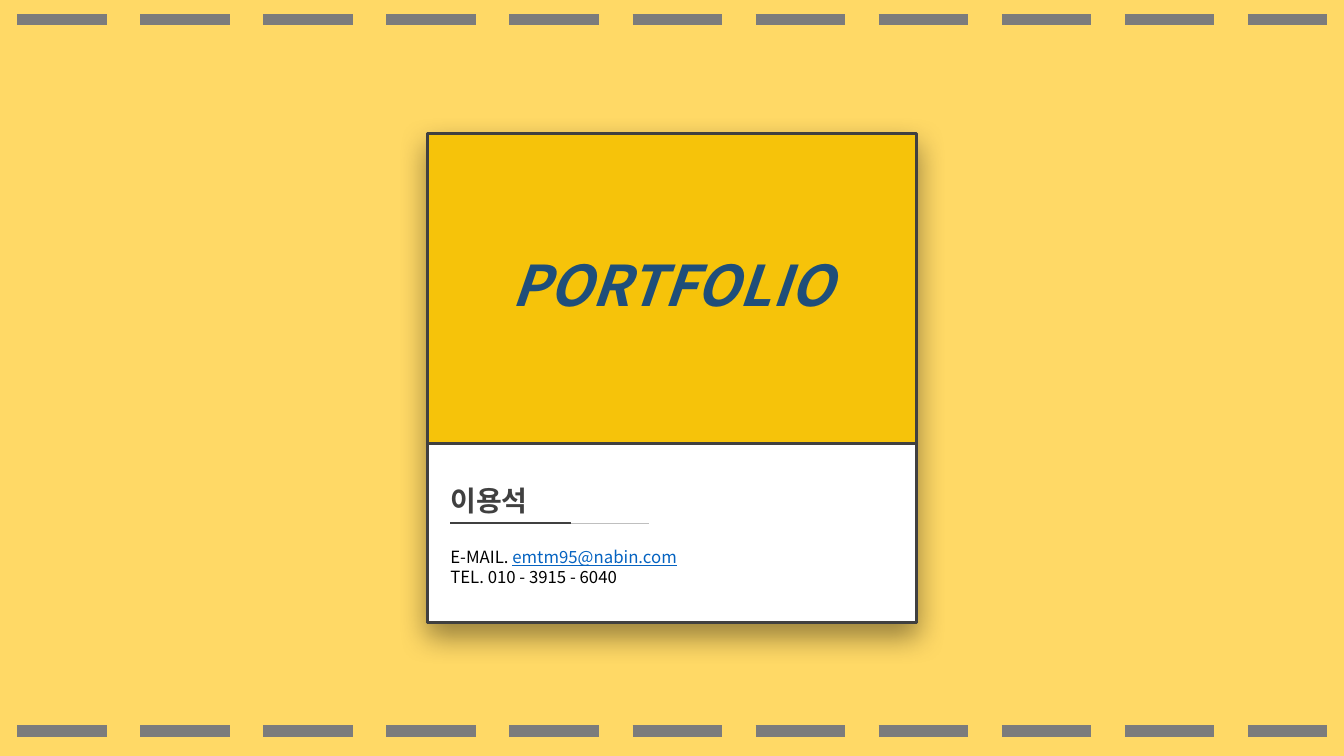
from dataclasses import dataclass

from pptx import Presentation
from pptx.dml.color import RGBColor
from pptx.enum.dml import MSO_LINE
from pptx.enum.shapes import MSO_CONNECTOR as Connector, MSO_SHAPE as Preset
from pptx.enum.text import MSO_ANCHOR as Anchor, MSO_AUTO_SIZE as AutoSize, PP_ALIGN as Align
from pptx.oxml import parse_xml
from pptx.oxml.ns import nsdecls, qn
from pptx.util import Cm, Pt


@dataclass(frozen=True)
class Theme:
    font: str = "Noto Sans CJK KR"
    backdrop: str = "FFD966"
    cover: str = "F6C30A"
    paper: str = "FFFFFF"
    dark: str = "404040"
    light: str = "BFBFBF"
    stitch: str = "7C7C7C"
    title: str = "1F4E79"
    body: str = "000000"
    email: str = "0563C1"
    title_size: int = 40
    name_size: int = 20
    body_size: int = 12


class CardSlide:
    def __init__(self, slide, theme):
        self.slide = slide
        self.theme = theme

    def panel(self, left, top, width, height, fill, border=None):
        shape = self.slide.shapes.add_shape(
            Preset.RECTANGLE, Cm(left), Cm(top), Cm(width), Cm(height))
        shape.shadow.inherit = False
        shape.fill.solid()
        shape.fill.fore_color.rgb = RGBColor.from_string(fill)
        if border:
            shape.line.color.rgb = RGBColor.from_string(border)
            shape.line.width = Pt(2)
        else:
            shape.line.fill.background()
        return shape

    def drop_shadow(self, shape):
        """Put a soft black shadow below the shape."""
        effects = shape._element.spPr.find(qn("a:effectLst"))
        effects.append(parse_xml(
            f'<a:outerShdw {nsdecls("a")} blurRad="{Pt(21)}" dist="{Pt(9)}" '
            'dir="5400000" algn="t" rotWithShape="0"><a:srgbClr val="000000">'
            '<a:alpha val="40000"/></a:srgbClr></a:outerShdw>'))

    def rule(self, start, end, y, color, width, dash=None):
        """Draw a horizontal line from start to end."""
        connector = self.slide.shapes.add_connector(
            Connector.STRAIGHT, Cm(start), Cm(y), Cm(end), Cm(y))
        connector.line.color.rgb = RGBColor.from_string(color)
        connector.line.width = Pt(width)
        if dash:
            connector.line.dash_style = dash
        connector._element.spPr.append(parse_xml(f'<a:effectLst {nsdecls("a")}/>'))

    def text_box(self, left, top, width, height, lines):
        box = self.slide.shapes.add_textbox(Cm(left), Cm(top), Cm(width), Cm(height))
        box.text_frame.word_wrap = True
        box.text_frame.auto_size = AutoSize.SHAPE_TO_FIT_TEXT
        self.set_lines(box.text_frame, lines)

    def set_lines(self, frame, lines, align=Align.LEFT):
        """Fill the frame; each line is a list of (text, size, color, format) runs."""
        for index, runs in enumerate(lines):
            paragraph = frame.add_paragraph() if index else frame.paragraphs[0]
            paragraph.alignment = align
            for text, size, color, style in runs:
                run = paragraph.add_run()
                run.text = text
                values = {"name": self.theme.font, "size": Pt(size), **style}
                for key, value in values.items():
                    setattr(run.font, key, value)
                run.font.color.rgb = RGBColor.from_string(color)
                run.font._element.find(qn("a:latin")).addnext(parse_xml(
                    f'<a:ea {nsdecls("a")} typeface="{self.theme.font}"/>'))


def main():
    slide_width, slide_height = 33.87, 19.05
    presentation = Presentation()
    presentation.slide_width = Cm(slide_width)
    presentation.slide_height = Cm(slide_height)
    theme = Theme()
    card = CardSlide(presentation.slides.add_slide(presentation.slide_layouts[6]), theme)

    card.panel(0, 0, slide_width, slide_height, theme.backdrop)

    card_side, contact_height = 12.34, 4.52
    left = (slide_width - card_side) / 2
    top = (slide_height - card_side) / 2
    cover = card.panel(left, top, card_side, card_side, theme.cover, theme.dark)
    card.drop_shadow(cover)
    cover.text_frame.margin_top = Cm(2.97)
    cover.text_frame.vertical_anchor = Anchor.TOP
    title_style = {"bold": True, "italic": True}
    card.set_lines(cover.text_frame,
                   [[("PORTFOLIO", theme.title_size, theme.title, title_style)]], Align.CENTER)
    card.panel(left, top + card_side - contact_height, card_side, contact_height,
               theme.paper, theme.dark)

    rule_left, rule_y = 11.35, 13.18
    card.rule(rule_left, 16.36, rule_y, theme.light, 0.75)
    card.rule(rule_left, 14.38, rule_y, theme.dark, 2)

    text_left = 11.1
    card.text_box(text_left, 12.07, 6.53, 1.12,
                  [[("이용석", theme.name_size, theme.dark, {"bold": True})]])
    card.text_box(text_left, 13.64, 7.24, 1.27, [
        [("E-MAIL. ", theme.body_size, theme.body, {}),
         ("emtm95@nabin.com", theme.body_size, theme.email, {"underline": True})],
        [("TEL. 010 - 3915 - 6040", theme.body_size, theme.body, {})],
    ])

    margin = 0.43
    for y in (0.5, 18.42):
        card.rule(margin, slide_width - margin, y, theme.stitch, 8, MSO_LINE.LONG_DASH)

    presentation.save("out.pptx")


if __name__ == "__main__":
    main()
